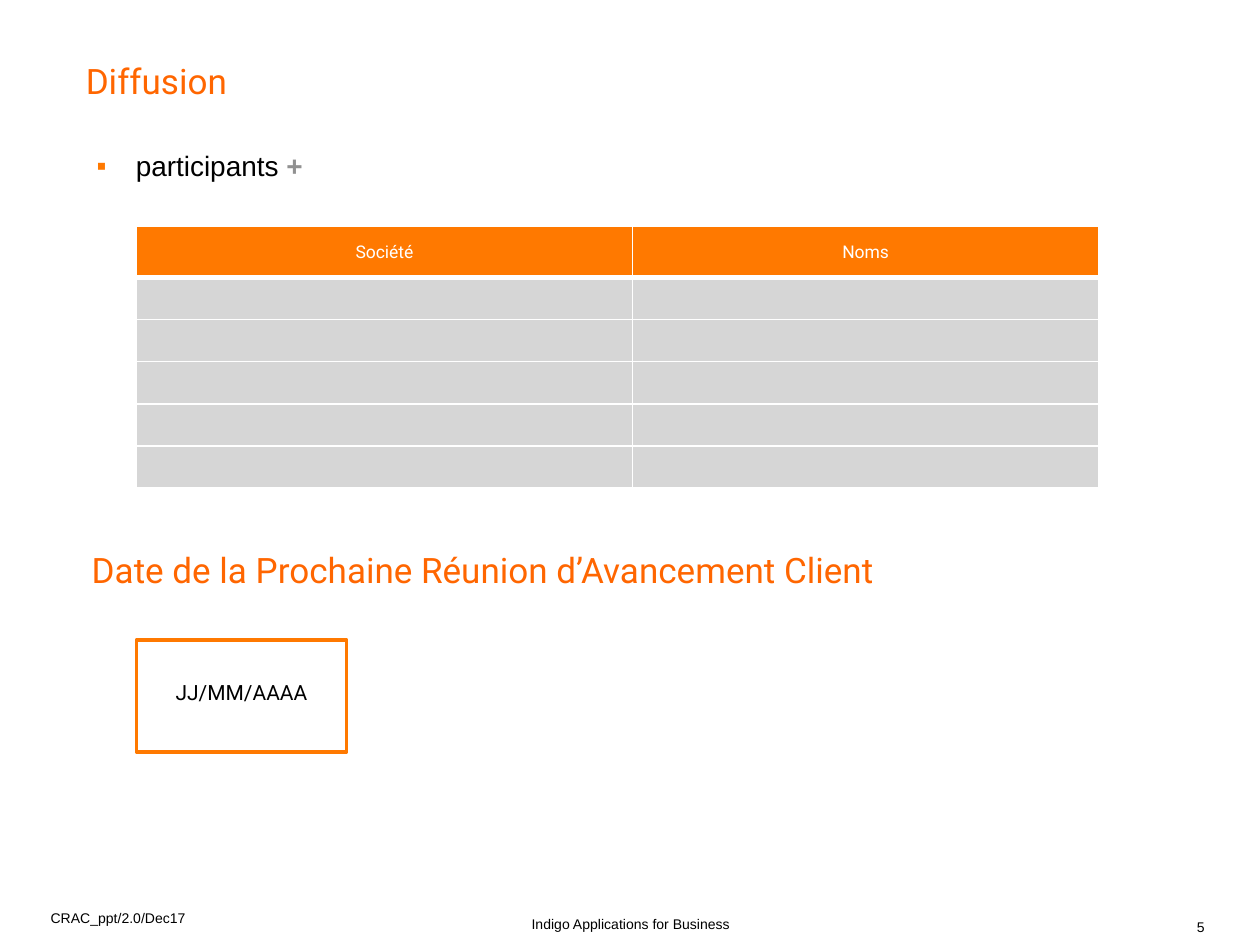
import pptx
import pptx.dml.color
import pptx.enum.shapes
import pptx.enum.text
import pptx.oxml
import pptx.oxml.ns
import pptx.util
from pptx.util import Cm

COLORS = {
    "heading": "FF6600",
    "accent": "FF7900",
    "text": "000000",
    "plus": "919191",
    "white": "FFFFFF",
    "row": "D6D6D6",
}
ALIGN = pptx.enum.text.PP_ALIGN
ANCHOR = pptx.enum.text.MSO_ANCHOR
DRAWING_NS = pptx.oxml.ns.nsdecls("a")


def rgb(name):
    return pptx.dml.color.RGBColor.from_string(COLORS[name])


def set_font(font, size, face, color):
    font.size = pptx.util.Pt(size)
    font.name = face
    font.color.rgb = rgb(color)


def add_text(slide, box, text, size, face="Arial", color="text", align=ALIGN.LEFT,
             anchor=ANCHOR.TOP, margins=(0, 0), wrap=True, line_spacing=None):
    """Add a text box; box is left, top, width, height in cm, margins are x and y."""
    frame = slide.shapes.add_textbox(*map(Cm, box)).text_frame
    frame.word_wrap = wrap
    frame.vertical_anchor = anchor
    frame.margin_left = frame.margin_right = Cm(margins[0])
    frame.margin_top = frame.margin_bottom = Cm(margins[1])
    paragraph = frame.paragraphs[0]
    paragraph.text = text
    paragraph.alignment = align
    if line_spacing:
        paragraph.line_spacing = line_spacing
    set_font(paragraph.font, size, face, color)
    return paragraph


def add_bullet(paragraph, indent):
    properties = paragraph._p.get_or_add_pPr()
    properties.set("marL", str(Cm(indent)))
    properties.set("indent", str(-Cm(indent)))
    bullet_parts = (
        f'<a:buClr {DRAWING_NS}><a:srgbClr val="{COLORS["accent"]}"/></a:buClr>',
        f'<a:buFont {DRAWING_NS} typeface="Arial"/>',
        f'<a:buChar {DRAWING_NS} char="▪"/>',
    )
    # Bullet elements come before the default run properties
    for position, part in enumerate(bullet_parts):
        properties.insert(position, pptx.oxml.parse_xml(part))


def set_borders(cell, top, bottom):
    properties = cell._tc.get_or_add_tcPr()
    widths = {"lnL": 1, "lnR": 1, "lnT": top, "lnB": bottom}
    for position, (side, width) in enumerate(widths.items()):
        properties.insert(position, pptx.oxml.parse_xml(
            f'<a:{side} {DRAWING_NS} w="{pptx.util.Pt(width)}"><a:solidFill>'
            f'<a:srgbClr val="{COLORS["white"]}"/></a:solidFill></a:{side}>'))


def add_distribution_table(slide, headers, empty_rows):
    column_widths = (10, 9.4)
    row_heights = [1.02] + [0.85] * empty_rows
    table = slide.shapes.add_table(
        len(row_heights), len(headers), Cm(2.75), Cm(4.57),
        Cm(sum(column_widths)), Cm(sum(row_heights))).table
    for column, width in zip(table.columns, column_widths):
        column.width = Cm(width)
    for index, (row, height) in enumerate(zip(table.rows, row_heights)):
        row.height = Cm(height)
        for cell, header in zip(row.cells, headers):
            cell.margin_top = cell.margin_bottom = Cm(0.18)
            cell.vertical_anchor = ANCHOR.MIDDLE
            cell.fill.solid()
            cell.fill.fore_color.rgb = rgb("row" if index else "accent")
            set_borders(cell, top=3 if index == 1 else 1, bottom=1 if index else 3)
            paragraph = cell.text_frame.paragraphs[0]
            if index == 0:
                paragraph.text = header
                paragraph.alignment = ALIGN.CENTER
                set_font(paragraph.font, 10, "Roboto", "white")
            else:
                # Small end mark keeps the empty row at its height
                paragraph._p.append(pptx.oxml.parse_xml(
                    f'<a:endParaRPr {DRAWING_NS} sz="1000"/>'))


def add_frame(slide, box):
    frame = slide.shapes.add_shape(
        pptx.enum.shapes.MSO_SHAPE.RECTANGLE, *map(Cm, box))
    frame.shadow.inherit = False
    frame.fill.background()
    frame.line.color.rgb = rgb("accent")
    frame.line.width = pptx.util.Pt(2)


def main():
    presentation = pptx.Presentation()
    presentation.slide_width = Cm(25.4)
    presentation.slide_height = Cm(19.05)
    slide = presentation.slides.add_slide(presentation.slide_layouts[6])

    # Footer
    add_text(slide, (24.13, 18.44, 0.76, 0.41), "5", 8,
             anchor=ANCHOR.BOTTOM, line_spacing=0.85)
    add_text(slide, (8.3, 18.44, 8.84, 0.41), "Indigo Applications for Business", 8,
             align=ALIGN.CENTER, anchor=ANCHOR.MIDDLE, line_spacing=0.85)
    add_text(slide, (1.02, 18.21, 2.8, 0.79), "CRAC_ppt/2.0/Dec17", 8,
             margins=(0, 0.13), wrap=False)

    # Distribution list
    add_text(slide, (1.73, 1.3, 18.5, 1.6), "Diffusion", 20, "Roboto", "heading",
             line_spacing=0.9)
    participants = add_text(slide, (1.7, 2.87, 4.83, 0.94), "participants ", 16,
                            margins=(0.25, 0.13), wrap=False)
    add_bullet(participants, 0.79)
    plus = participants.add_run()
    plus.text = "+"
    plus.font.bold = True
    plus.font.color.rgb = rgb("plus")
    add_distribution_table(slide, ("Société", "Noms"), empty_rows=5)

    # Next meeting
    add_text(slide, (1.85, 11.05, 20.32, 3.58),
             "Date de la Prochaine Réunion d’Avancement Client", 20, "Roboto", "heading")
    add_text(slide, (2.75, 13.56, 4.24, 0.76), "JJ/MM/AAAA", 12, "Roboto",
             align=ALIGN.CENTER, margins=(0.25, 0.13))
    add_frame(slide, (2.75, 12.9, 4.24, 2.26))

    presentation.save("out.pptx")


if __name__ == "__main__":
    main()
